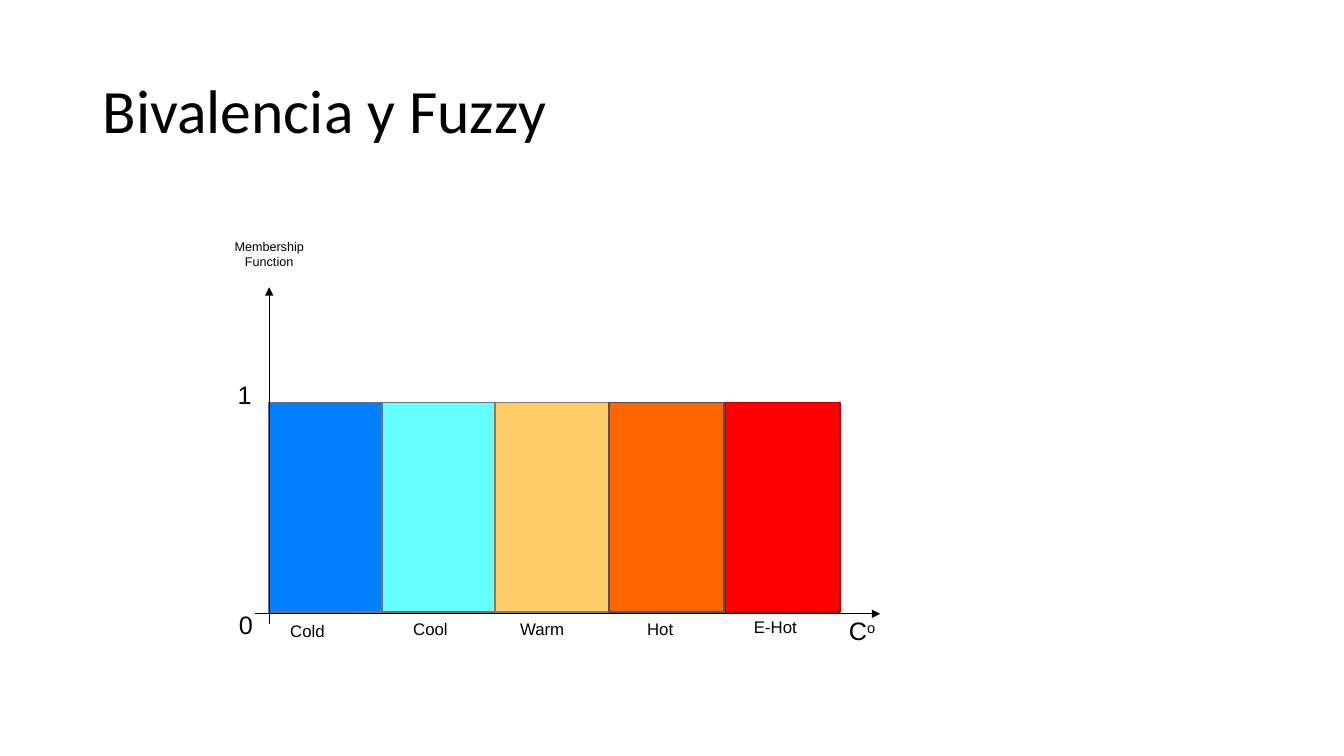
"""Build the slide that shows bivalent temperature sets as adjoining bars."""
from lxml import etree
from pptx import Presentation
from pptx.dml.color import RGBColor
from pptx.enum.shapes import MSO_CONNECTOR, MSO_SHAPE
from pptx.enum.text import MSO_ANCHOR, MSO_AUTO_SIZE, PP_ALIGN
from pptx.oxml.ns import qn
from pptx.util import Inches, Pt

COLORS = {
    "black": "000000",
    "cold": "0080FF",
    "cool": "66FFFF",
    "warm": "FFCC66",
    "hot": "FF6600",
    "extra hot": "FF0000",
    "gray": "767171",
    "warm edge": "7C7C7C",
    "hot edge": "525252",
    "extra hot edge": "C00000",
}


def color(name):
    return RGBColor.from_string(COLORS[name])


def add_run(paragraph, text, size, font_name="Arial"):
    run = paragraph.add_run()
    run.text = text
    run.font.size = Pt(size)
    run.font.name = font_name
    run.font.color.rgb = color("black")
    return run


presentation = Presentation()
presentation.slide_width = Inches(13.33)
presentation.slide_height = Inches(7.5)
slide = presentation.slides.add_slide(presentation.slide_layouts[5])

title = slide.shapes.title
title.left, title.top = Inches(0.92), Inches(0.4)
title.width, title.height = Inches(11.5), Inches(1.45)
title.text_frame.vertical_anchor = MSO_ANCHOR.MIDDLE
title_paragraph = title.text_frame.paragraphs[0]
title_paragraph.alignment = PP_ALIGN.LEFT
title_paragraph.line_spacing = 0.9
add_run(title_paragraph, "Bivalencia y Fuzzy", 44, "Calibri")

bars = [
    (2.67, "cold", "gray"),
    (3.79, "cool", "gray"),
    (7.19, "extra hot", "extra hot edge"),
    (4.91, "warm", "warm edge"),
    (6.04, "hot", "hot edge"),
]
for left, fill, edge in bars:
    bar = slide.shapes.add_shape(
        MSO_SHAPE.RECTANGLE, Inches(left), Inches(3.99), Inches(1.14), Inches(2.08)
    )
    bar.shadow.inherit = False
    bar.fill.solid()
    bar.fill.fore_color.rgb = color(fill)
    bar.line.color.rgb = color(edge)
    bar.line.width = Pt(1)

axes = [(2.67, 6.19, 2.67, 2.85), (2.53, 6.09, 8.73, 6.09)]
for ends in axes:
    axis = slide.shapes.add_connector(
        MSO_CONNECTOR.STRAIGHT, *[Inches(value) for value in ends]
    )
    axis.line.color.rgb = color("black")
    axis.line.width = Pt(0.5)
    etree.SubElement(axis.line._get_or_add_ln(), qn("a:tailEnd"), type="triangle")
    etree.SubElement(axis._element.spPr, qn("a:effectLst"))

labels = [
    (2.22, 2.32, 0.9, 0.37, 9, ["Membership", "Function"]),
    (8.32, 6.06, 0.48, 0.37, 18, ["C"]),
    (2.26, 3.71, 0.34, 0.37, 18, ["1"]),
    (2.27, 6, 0.34, 0.37, 18, ["0"]),
    (2.78, 6.11, 0.55, 0.28, 12, ["Cold"]),
    (4, 6.09, 0.55, 0.28, 12, ["Cool"]),
    (5.06, 6.09, 0.65, 0.28, 12, ["Warm"]),
    (6.32, 6.09, 0.46, 0.28, 12, ["Hot"]),
    (7.38, 6.07, 0.63, 0.28, 12, ["E-Hot"]),
]
for left, top, width, height, size, lines in labels:
    label = slide.shapes.add_textbox(
        Inches(left), Inches(top), Inches(width), Inches(height)
    )
    frame = label.text_frame
    frame.word_wrap = False
    frame.auto_size = MSO_AUTO_SIZE.SHAPE_TO_FIT_TEXT
    for index, line in enumerate(lines):
        paragraph = frame.add_paragraph() if index else frame.paragraphs[0]
        paragraph.alignment = PP_ALIGN.CENTER if len(lines) > 1 else PP_ALIGN.LEFT
        add_run(paragraph, line, size)
        if line == "C":
            degree = add_run(paragraph, "o", size)
            degree.font._element.set("baseline", "30000")

presentation.save("out.pptx")
